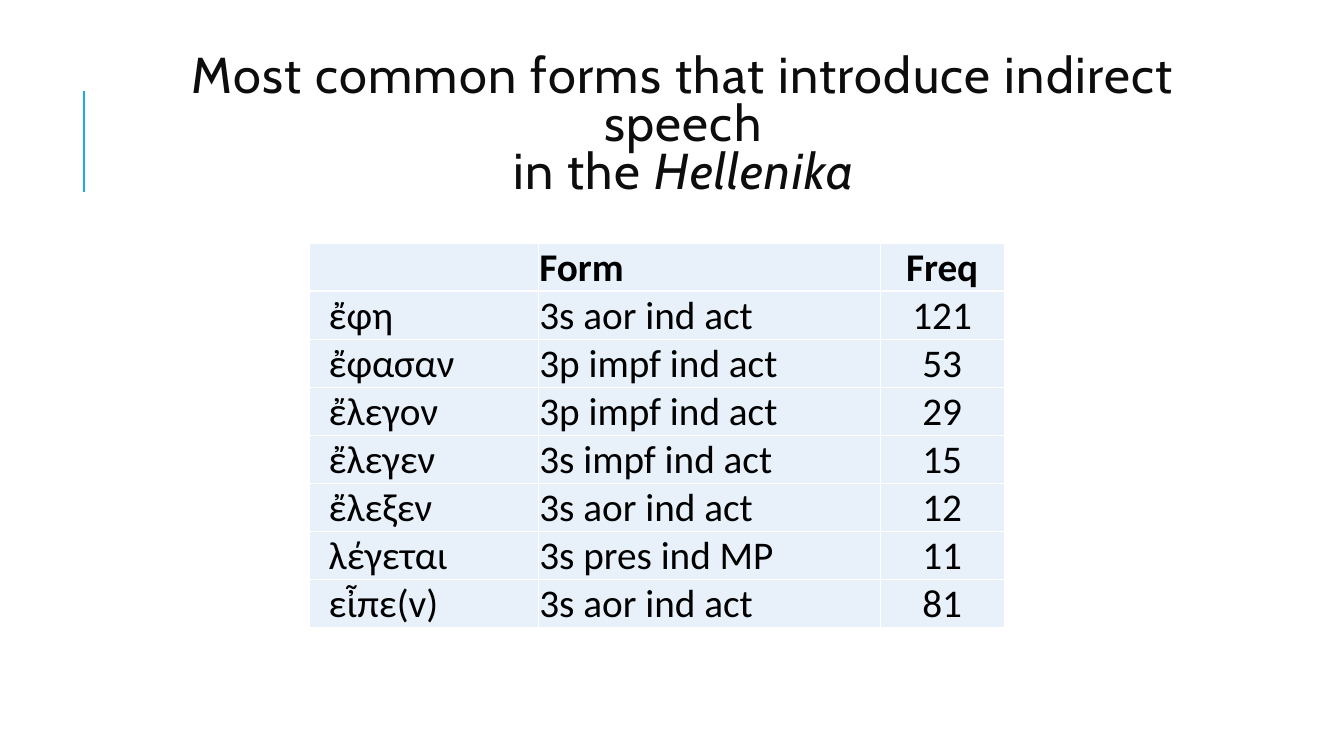
from typing import NamedTuple

from lxml import etree
from pptx import Presentation
from pptx.dml.color import RGBColor
from pptx.enum.shapes import MSO_CONNECTOR
from pptx.enum.text import MSO_ANCHOR, PP_ALIGN
from pptx.oxml.ns import qn
from pptx.util import Inches, Pt

LEFT, CENTER = PP_ALIGN.LEFT, PP_ALIGN.CENTER
MIDDLE, BOTTOM = MSO_ANCHOR.MIDDLE, MSO_ANCHOR.BOTTOM
STRAIGHT = MSO_CONNECTOR.STRAIGHT

COLORS = {
    "accent": "1CADE4",
    "title": "0D0D0D",
    "cell": "E8F1FA",
    "border": "FFFFFF",
    "text": "000000",
}


class Column(NamedTuple):
    width: float
    indent: float
    align: PP_ALIGN


class VerbForm(NamedTuple):
    greek: str
    parsing: str
    frequency: str


COLUMNS = [
    Column(2.27, 0.19, LEFT),
    Column(3.39, 0.01, LEFT),
    Column(1.23, 0.01, CENTER),
]
HEADER = VerbForm("", "Form", "Freq")
VERB_FORMS = [
    VerbForm("ἔφη", "3s aor ind act", "121"),
    VerbForm("ἔφασαν", "3p impf ind act", "53"),
    VerbForm("ἔλεγον", "3p impf ind act", "29"),
    VerbForm("ἔλεγεν", "3s impf ind act", "15"),
    VerbForm("ἔλεξεν", "3s aor ind act", "12"),
    VerbForm("λέγεται", "3s pres ind MP", "11"),
    VerbForm("εἶπε(v)", "3s aor ind act", "81"),
]
ROW_HEIGHT = 0.47


def color(name: str) -> RGBColor:
    return RGBColor.from_string(COLORS[name])


def add_text(paragraph, text: str, *, size: float, font: str, fill: str,
             bold: bool = False, italic: bool = False, spacing: float = 0) -> None:
    run = paragraph.add_run()
    run.text = text
    run.font.size = Pt(size)
    run.font.name = font
    run.font.bold = bold
    run.font.italic = italic
    run.font.color.rgb = color(fill)
    if spacing:
        run._r.get_or_add_rPr().set("spc", str(round(spacing * 100)))


def add_accent_line(slide) -> None:
    accent = slide.shapes.add_connector(
        STRAIGHT, Inches(0.83), Inches(1.9), Inches(0.83), Inches(0.9))
    accent.line.color.rgb = color("accent")
    accent.line.width = Pt(1.5)
    etree.SubElement(accent._element.spPr, qn("a:effectLst"))


def add_title(slide) -> None:
    title = slide.shapes.add_textbox(
        Inches(1.12), Inches(0.64), Inches(11.32), Inches(1.24)).text_frame
    title.word_wrap = True
    title.vertical_anchor = MIDDLE
    heading = title.paragraphs[0]
    heading.alignment = CENTER
    heading.line_spacing = 0.8
    style = dict(size=36, font="Cabin", fill="title", spacing=1)
    add_text(heading, "Most common forms that introduce indirect speech", **style)
    heading.add_line_break()
    add_text(heading, "in the ", **style)
    add_text(heading, "Hellenika", italic=True, **style)


def format_cell(cell, column: Column) -> None:
    cell.margin_left = Inches(column.indent)
    cell.margin_top = cell.margin_right = Inches(0.01)
    cell.margin_bottom = 0
    cell.vertical_anchor = BOTTOM
    properties = cell._tc.get_or_add_tcPr()
    for side in ("lnL", "lnR", "lnT", "lnB"):
        border = etree.SubElement(properties, qn(f"a:{side}"), w=str(Pt(1)))
        solid = etree.SubElement(border, qn("a:solidFill"))
        etree.SubElement(solid, qn("a:srgbClr"), val=COLORS["border"])
    cell.fill.solid()
    cell.fill.fore_color.rgb = color("cell")


def add_frequency_table(slide) -> None:
    entries = [HEADER, *VERB_FORMS]
    table = slide.shapes.add_table(
        len(entries), len(COLUMNS), Inches(3.07), Inches(2.41),
        Inches(sum(column.width for column in COLUMNS)),
        Inches(ROW_HEIGHT * len(entries))).table
    table.first_row = False
    table.horz_banding = False
    for index, column in enumerate(COLUMNS):
        table.columns[index].width = Inches(column.width)
    for row, entry in enumerate(entries):
        table.rows[row].height = Inches(ROW_HEIGHT)
        for index, (column, text) in enumerate(zip(COLUMNS, entry)):
            cell = table.cell(row, index)
            format_cell(cell, column)
            if text:
                paragraph = cell.text_frame.paragraphs[0]
                paragraph.alignment = column.align if row else (
                    CENTER if column.align == CENTER else LEFT)
                add_text(paragraph, text, size=28, font="Calibri",
                         fill="text", bold=entry is HEADER)


def main() -> None:
    presentation = Presentation()
    presentation.slide_width = Inches(13.33)
    presentation.slide_height = Inches(7.5)
    slide = presentation.slides.add_slide(presentation.slide_layouts[6])
    add_accent_line(slide)
    add_title(slide)
    add_frequency_table(slide)
    presentation.save("out.pptx")


if __name__ == "__main__":
    main()
